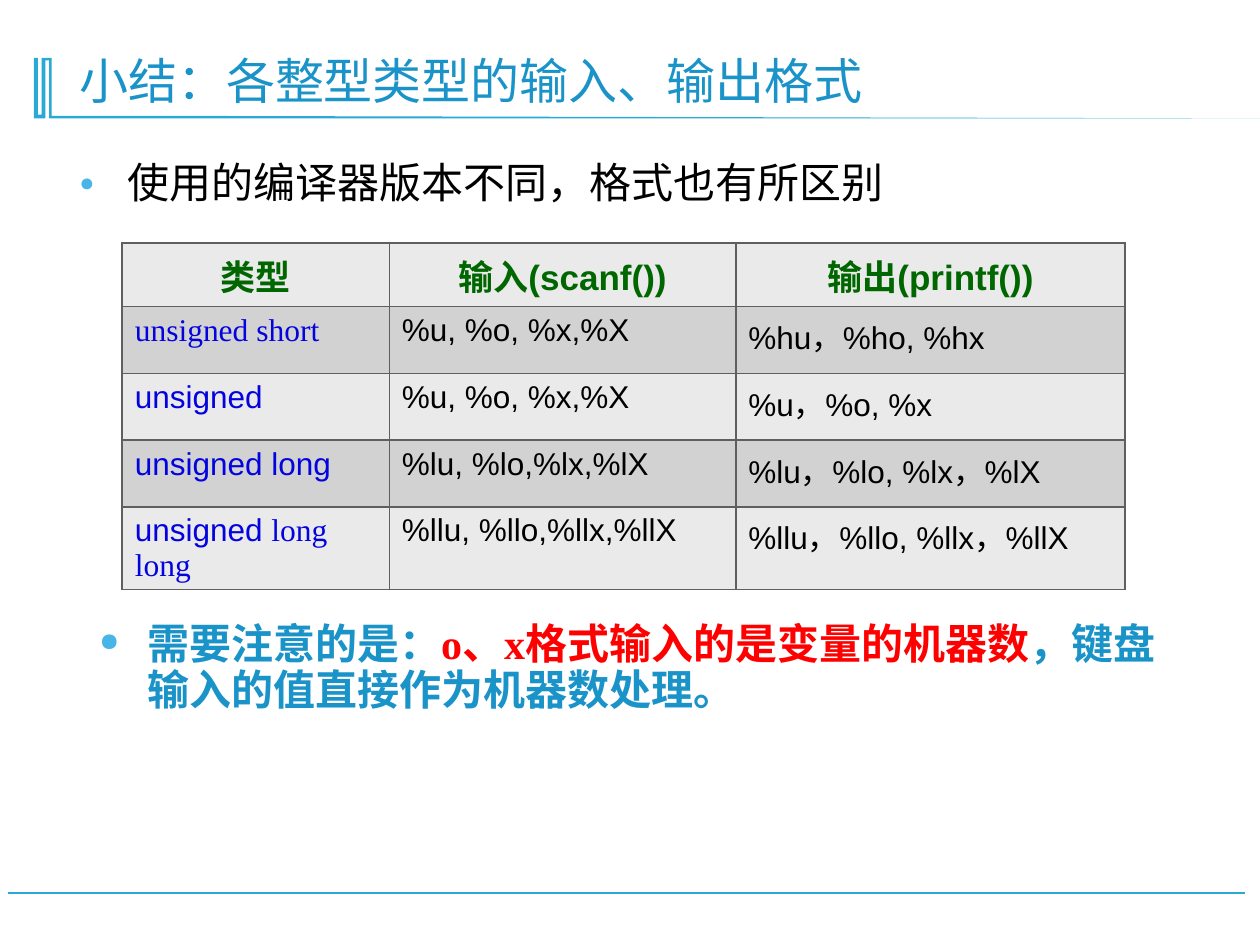
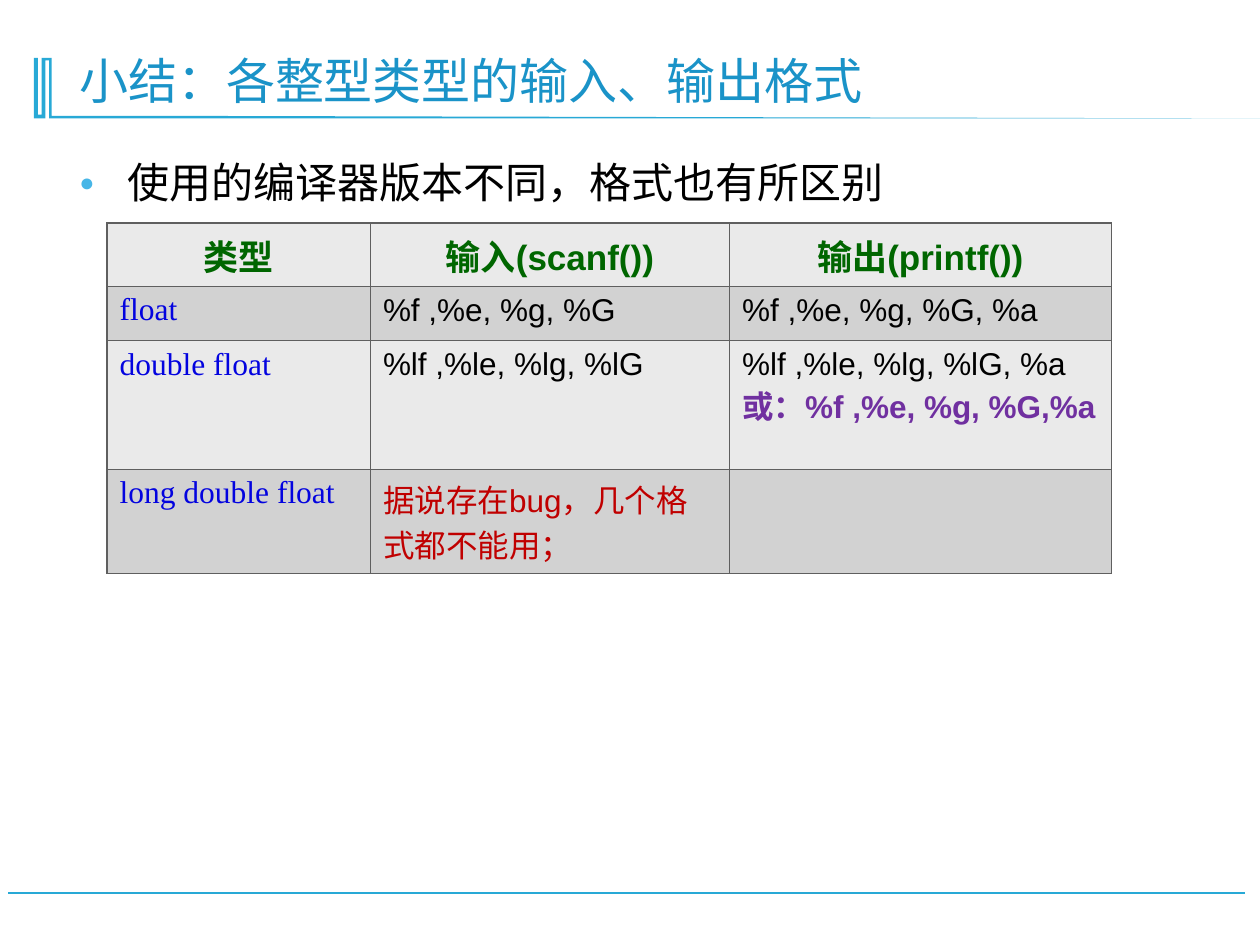
from dataclasses import dataclass

from lxml.etree import SubElement
from pptx import Presentation
from pptx.dml.color import RGBColor as Color
from pptx.enum.shapes import MSO_CONNECTOR as Connector
from pptx.enum.text import MSO_ANCHOR as Anchor, MSO_AUTO_SIZE as AutoSize, PP_ALIGN as Align
from pptx.oxml.ns import qn
from pptx.util import Inches, Pt

COLUMNS, ROWS = 100, 75
WIDTH, HEIGHT = Inches(10), Inches(7.5)
SERIF, SANS = "Times New Roman", "Arial"


@dataclass(frozen=True)
class Theme:
    """Colours, line widths and text formats shared by the slides."""
    band: str = "28A9D6"
    bullet: str = "47B6E7"
    border: str = "5F5F5F"
    row_fills: tuple = ("EAEAEA", "D2D2D2")
    rule_width: float = 1.25
    border_width: float = 1
    line_spacing: float = 0.9

    @property
    def formats(self):
        """Return the text formats as name, size, bold and colour by role."""
        rows = {
            "title": (SERIF, 28, False, "1A93C8"),
            "body": (SERIF, 24, False, "000000"),
            "note": (SERIF, 24, True, "1A93C8"),
            "alert": (SERIF, 24, True, "FF0000"),
            "head": (SANS, 20, True, "006600"),
            "type_serif": (SERIF, 18, False, "0303DF"),
            "type_sans": (SANS, 18, False, "0303DF"),
            "code": (SANS, 18, False, "000000"),
            "either": (SANS, 18, True, "7030A0"),
            "warning": (SANS, 18, False, "C00000"),
        }
        return {role: dict(zip(("name", "size", "bold", "color"), row)) for role, row in rows.items()}


THEME = Theme()


@dataclass(frozen=True)
class Box:
    """A region measured in columns and rows of the slide grid."""
    left: float
    top: float
    width: float
    height: float

    def point(self, across=0, down=0):
        """Return the position some columns and rows into the box."""
        return (round((self.left + across) * WIDTH / COLUMNS),
                round((self.top + down) * HEIGHT / ROWS))

    def frame(self):
        """Return left, top, width and height as lengths."""
        left, top = self.point()
        right, bottom = self.point(self.width, self.height)
        return left, top, right - left, bottom - top


PAGE = Box(0, 0, COLUMNS, ROWS)
BAND = Box(2.7, 4.6, 97.3, 4.8)
TITLE = Box(5.3, 2.8, 88.5, 6.4)
BODY = Box(5.3, 12.4, 88.5, 5.7)
NOTE = Box(6.9, 49, 88.5, 10.1)

TITLE_TEXT = "小结：各整型类型的输入、输出格式"
BODY_TEXT = "使用的编译器版本不同，格式也有所区别"
HEADINGS = ("类型", "输入(scanf())", "输出(printf())")
NOTE_SPANS = [("需要注意的是：", "note"), ("o、x格式输入的是变量的机器数", "alert"),
              ("，键盘输入的值直接作为机器数处理。", "note")]


def write(para, spans):
    """Fill a paragraph with pairs of text and format role."""
    for text, role in spans:
        span = para.add_run()
        span.text = text
        for key, value in THEME.formats[role].items():
            if key == "color":
                span.font.color.rgb = Color.from_string(value)
            else:
                setattr(span.font, key, Pt(value) if key == "size" else value)


def set_attributes(target, values):
    """Set each named value on the target."""
    for key, value in values.items():
        setattr(target, key, value)


def place(shape, box):
    """Move a shape to a box and make its text wrap at a fixed size."""
    set_attributes(shape, dict(zip(("left", "top", "width", "height"), box.frame())))
    set_attributes(shape.text_frame, {"word_wrap": True, "auto_size": AutoSize.NONE})


def add_color(parent, tag, value):
    """Append an element that holds one solid colour."""
    element = SubElement(parent, qn(tag))
    SubElement(element, qn("a:srgbClr"), val=value)


def fill_bullet(shape, box, spans):
    """Place a shape and give it one bulleted paragraph."""
    place(shape, box)
    para = shape.text_frame.paragraphs[0]
    set_attributes(para, {"line_spacing": THEME.line_spacing, "space_before": Pt(0),
                          "alignment": Align.LEFT})
    properties = para._p.get_or_add_pPr()
    indent = Inches(0.38)
    properties.set("marL", str(indent))
    properties.set("indent", str(-indent))
    add_color(properties, "a:buClr", THEME.bullet)
    SubElement(properties, qn("a:buSzPct"), val="60000")
    SubElement(properties, qn("a:buChar"), char="●")
    write(para, spans)


def fill_title(shape, box):
    """Place the title at the bottom of its box."""
    place(shape, box)
    shape.text_frame.vertical_anchor = Anchor.BOTTOM
    para = shape.text_frame.paragraphs[0]
    set_attributes(para, {"line_spacing": THEME.line_spacing, "space_before": Pt(0),
                          "alignment": Align.LEFT})
    write(para, [(TITLE_TEXT, "title")])


def add_band(page, box):
    """Draw the double bar and the tapering rule beside the title."""
    outline = [(1.4, 0), (1.4, 4.6), (11.3, 4.6), (box.width, 4.8), (1.2, 4.8), (1.2, 0.2),
               (0.9, 0.2), (0.9, 4.8), (0, 4.8), (0, 0), (0.3, 0), (0.3, 4.5), (0.6, 4.5), (0.6, 0)]
    points = [box.point(*step) for step in outline]
    builder = page.shapes.build_freeform(*points[0], scale=1.0)
    builder.add_line_segments(points[1:], close=True)
    band = builder.convert_to_shape()
    band.shadow.inherit = False
    band.fill.solid()
    band.fill.fore_color.rgb = Color.from_string(THEME.band)
    band.line.fill.background()


def add_footer_rule(page, box):
    """Draw the rule along the foot of the page."""
    rule = page.shapes.add_connector(Connector.STRAIGHT, *box.point(98.8, 70.9), *box.point(0.6, 70.9))
    rule.line.color.rgb = Color.from_string(THEME.band)
    rule.line.width = Pt(THEME.rule_width)
    SubElement(rule._element.spPr, qn("a:effectLst"))


def style_cell(cell, fill):
    """Give a cell its four borders and its fill."""
    properties = cell._tc.get_or_add_tcPr()
    for side in ("L", "R", "T", "B"):
        line = SubElement(properties, qn(f"a:ln{side}"), w=str(Pt(THEME.border_width)))
        add_color(line, "a:solidFill", THEME.border)
    cell.fill.solid()
    cell.fill.fore_color.rgb = Color.from_string(fill)


def add_format_table(page, box, widths, heights, rows):
    """Add the table of format codes, with widths and heights in grid units."""
    header = [[[(heading, "head")]] for heading in HEADINGS]
    lines = [header, *rows]
    table = page.shapes.add_table(len(lines), len(widths), *box.frame()).table
    for column, width in zip(table.columns, widths):
        column.width = round(width * WIDTH / COLUMNS)
    for row, height in zip(table.rows, heights):
        row.height = round(height * HEIGHT / ROWS)
    for row_index, line in enumerate(lines):
        for column_index, paragraphs in enumerate(line):
            cell = table.cell(row_index, column_index)
            style_cell(cell, THEME.row_fills[row_index % 2])
            for index, spans in enumerate(paragraphs):
                frame = cell.text_frame
                para = frame.add_paragraph() if index else frame.paragraphs[0]
                para.alignment = Align.LEFT if row_index else Align.CENTER
                write(para, spans)


def code_row(type_spans, *codes):
    """Return a table row of a type name and plain format codes."""
    return [[type_spans], *([[(code, "code")]] for code in codes)]


def add_page(deck):
    """Add a slide with the shared band, rule, title and bullet."""
    page = deck.slides.add_slide(deck.slide_layouts[1])
    add_footer_rule(page, PAGE)
    add_band(page, BAND)
    fill_title(page.shapes.title, TITLE)
    fill_bullet(page.placeholders[1], BODY, [(BODY_TEXT, "body")])
    return page


def add_integer_page(deck):
    """Add the slide on unsigned integer formats."""
    page = add_page(deck)
    rows = [
        code_row([("unsigned short", "type_serif")], "%u, %o, %x,%X", "%hu，%ho, %hx"),
        code_row([("unsigned", "type_sans")], "%u, %o, %x,%X", "%u，%o, %x"),
        code_row([("unsigned long", "type_sans")], "%lu, %lo,%lx,%lX", "%lu，%lo, %lx，%lX"),
        code_row([("unsigned ", "type_sans"), ("long long", "type_serif")],
                 "%llu, %llo,%llx,%llX", "%llu，%llo, %llx，%llX"),
    ]
    add_format_table(page, Box(9.7, 19.3, 79.7, 25.4), (21.2, 27.5, 30.9), (4.3, *[5.3] * 4), rows)
    fill_bullet(page.shapes.add_textbox(*NOTE.frame()), NOTE, NOTE_SPANS)


def add_float_page(deck):
    """Add the slide on floating-point formats."""
    page = add_page(deck)
    double_row = code_row([("double float", "type_serif")], "%lf ,%le, %lg, %lG", "%lf ,%le, %lg, %lG, %a")
    double_row[2].append([("或：%f ,%e, %g, %G,%a", "either")])
    rows = [
        code_row([("float", "type_serif")], "%f ,%e, %g, %G", "%f ,%e, %g, %G, %a"),
        double_row,
        [[[("long double float", "type_serif")]], [[("据说存在bug，几个格式都不能用；", "warning")]], []],
    ]
    add_format_table(page, Box(8.5, 17.7, 79.8, 23.3), (20.9, 28.5, 30.3), (4.6, 4.3, 4.3, 7.4), rows)


def main():
    """Build and save the deck."""
    deck = Presentation()
    set_attributes(deck, {"slide_width": WIDTH, "slide_height": HEIGHT})
    add_integer_page(deck)
    add_float_page(deck)
    deck.save("out.pptx")


if __name__ == "__main__":
    main()
